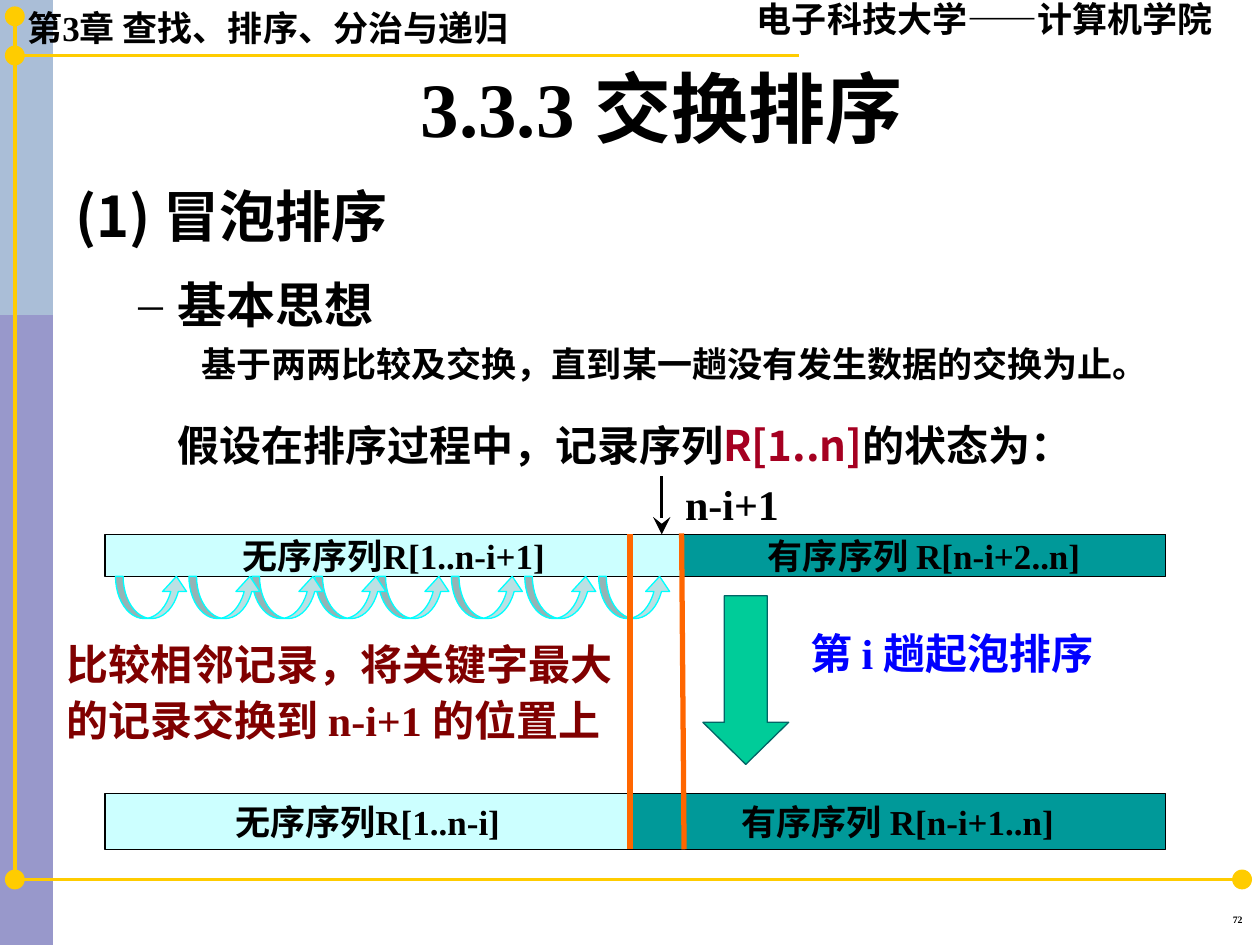
import pptx
import pptx.util
import pptx.dml.color
import pptx.enum.shapes
import pptx.enum.text
import pptx.oxml.ns
from lxml import etree

Cm, Pt = pptx.util.Cm, pptx.util.Pt
RGBColor = pptx.dml.color.RGBColor
SHAPE = pptx.enum.shapes.MSO_SHAPE
ALIGN = pptx.enum.text.PP_ALIGN
ANCHOR = pptx.enum.text.MSO_ANCHOR
qn = pptx.oxml.ns.qn

BLACK = RGBColor(0x00, 0x00, 0x00)
INDIGO = RGBColor(0x33, 0x33, 0x99)
ICE = RGBColor(0xBB, 0xE0, 0xE3)
GOLD = RGBColor(0xFF, 0xCC, 0x00)
CRIMSON = RGBColor(0xA5, 0x00, 0x21)
BLUE = RGBColor(0x00, 0x00, 0xFF)
MAROON = RGBColor(0x80, 0x00, 0x00)
PALE = RGBColor(0xCC, 0xFF, 0xFF)
TEAL = RGBColor(0x00, 0x99, 0x99)
GREEN = RGBColor(0x00, 0xCC, 0x99)
DARK_TEAL = RGBColor(0x00, 0x66, 0x66)
CYAN = RGBColor(0x00, 0xFF, 0xFF)
ORANGE = RGBColor(0xFF, 0x66, 0x00)

SERIF = "Times New Roman"
SANS_SC = "Noto Sans CJK SC"
SANS_JP = "Noto Sans CJK JP"

SIDE_BANDS = [(19.05, INDIGO, 50), (6.35, ICE, 53)]
FRAME_LINES = [
    (0.3, 17.73, 25.1, 17.73),
    (0.3, 1.12, 16.1, 1.12),
    (0.3, 17.73, 0.3, 0.33),
]
DOT_SIZE = 0.4
DOT_CENTRES = [(0.3, 17.73), (25.04, 17.73), (0.3, 1.12), (0.3, 0.33)]

LABELS = [
    ((0.3, 0, 10.8, 1.12), [("第3章 查找、排序、分治与递归", BLACK)], 20, SERIF, {}),
    ((15.01, -0.18, 10.49, 1.12), [("电子科技大学——计算机学院", BLACK)], 20, SERIF, {}),
    ((1.27, 0.76, 24.13, 2.77), [("3.3.3 交换排序", BLACK)], 44, SERIF,
     {"align": ALIGN.CENTER, "anchor": ANCHOR.MIDDLE}),
    ((18.59, 18.34, 6.71, 0.56), [("72", BLACK)], 5.6, SERIF,
     {"align": ALIGN.RIGHT, "spacing": 0.8}),
    ((1.63, 8.13, 23.77, 1.47),
     [("假设在排序过程中，记录序列", BLACK), ("R[1..n]", CRIMSON), ("的状态为：", BLACK)],
     24, SANS_JP, {"spacing": 1.2, "indent": 1.69}),
    ((16.08, 12.37, 9.32, 1.42), [("第 i 趟起泡排序", BLUE)], 24, SERIF, {"spacing": 1.15}),
    ((13.56, 9.53, 2.8, 1.27), [("n-i+1", BLACK)], 24, SERIF, {}),
    ((1.09, 12.65, 11.68, 2.49),
     [("比较相邻记录，将关键字最大的记录交换到 n-i+1 的位置上", MAROON)],
     24, SERIF, {"spacing": 1.1}),
]

OUTLINE = [
    ("(1) 冒泡排序", 32, SANS_SC, 0.95, -0.95, 0, 8, None),
    ("基本思想", 28, SANS_JP, 2.06, -0.79, 7, 0, "–"),
    ("基于两两比较及交换，直到某一趟没有发生数据的交换为止。", 20, SANS_JP, 3.18, -0.64, 5, 0, None),
]

ROW_LEFT, ROW_RIGHT = 2.12, 23.5
SEQUENCE_ROWS = [
    (10.77, 0.86, 13.76, "无序序列R[1..n-i+1]", "有序序列 R[n-i+2..n]"),
    (16, 1.12, 12.7, "无序序列R[1..n-i]", "有序序列 R[n-i+1..n]"),
]
SWAP_LEFTS = [2.33, 3.81, 5.08, 6.35, 7.62, 9.1, 10.58, 12.07]
DIVIDERS = [(13.74, 10.75, 13.79, 17.12), (12.7, 10.77, 12.7, 17.12)]

deck = pptx.Presentation()
deck.slide_width, deck.slide_height = Cm(25.4), Cm(19.05)
page = deck.slides.add_slide(deck.slide_layouts[6])


def add_block(kind, place, fill, line=None, alpha=None):
    block = page.shapes.add_shape(kind, *map(Cm, place))
    block.shadow.inherit = False
    block.fill.solid()
    block.fill.fore_color.rgb = fill
    if alpha:
        colour = block._element.spPr.find(".//" + qn("a:srgbClr"))
        etree.SubElement(colour, qn("a:alpha"), val=str(alpha * 1000))
    if line is None:
        block.line.fill.background()
    else:
        block.line.color.rgb = line
        block.line.width = Pt(0.75)
    return block


def add_line(ends, colour, width, head=None):
    line = page.shapes.add_connector(pptx.enum.shapes.MSO_CONNECTOR.STRAIGHT, *map(Cm, ends))
    line.line.color.rgb = colour
    line.line.width = Pt(width)
    properties = line._element.spPr
    if head:
        etree.SubElement(properties.find(qn("a:ln")), qn("a:tailEnd"), type=head, w="lg", len="lg")
    etree.SubElement(properties, qn("a:effectLst"))


def add_span(para, text, size, face, colour):
    span = para.add_run()
    span.text = text
    span.font.size = Pt(size)
    span.font.bold = True
    span.font.color.rgb = colour
    span.font.name = face
    east = SANS_SC if face == SERIF else face
    etree.SubElement(span._r.get_or_add_rPr(), qn("a:ea"), typeface=east)


def set_indent(para, margin, indent):
    properties = para._p.get_or_add_pPr()
    properties.set("marL", str(Cm(margin)))
    properties.set("indent", str(Cm(indent)))
    return properties


def add_label(place, spans, size, face, options):
    box = page.shapes.add_textbox(*map(Cm, place))
    frame = box.text_frame
    frame.word_wrap = True
    frame.vertical_anchor = options.get("anchor", ANCHOR.TOP)
    para = frame.paragraphs[0]
    para.alignment = options.get("align", ALIGN.LEFT)
    para.line_spacing = options.get("spacing", 1.0)
    if "indent" in options:
        set_indent(para, 0, options["indent"])
    for text, colour in spans:
        add_span(para, text, size, face, colour)


def add_outline():
    frame = page.shapes.add_textbox(Cm(1.27), Cm(3.53), Cm(22.86), Cm(4.6)).text_frame
    frame.word_wrap = True
    for level, (text, size, face, margin, indent, before, after, bullet) in enumerate(OUTLINE):
        para = frame.add_paragraph() if level else frame.paragraphs[0]
        para.level = level
        properties = set_indent(para, margin, indent)
        if before:
            para.space_before = Pt(before)
        para.space_after = Pt(after)
        if bullet:
            etree.SubElement(properties, qn("a:buFont"), typeface=SERIF)
            etree.SubElement(properties, qn("a:buChar"), char=bullet)
        else:
            etree.SubElement(properties, qn("a:buNone"))
        add_span(para, text, size, face, BLACK)


def add_sequence(left, right, top, height, fill, text):
    block = add_block(SHAPE.RECTANGLE, (left, top, right - left, height), fill, BLACK)
    frame = block.text_frame
    frame.word_wrap = False
    frame.vertical_anchor = ANCHOR.MIDDLE
    para = frame.paragraphs[0]
    para.alignment = ALIGN.CENTER
    add_span(para, text, 20, SERIF, BLACK)


for height, colour, alpha in SIDE_BANDS:
    add_block(SHAPE.RECTANGLE, (0, 0, 1.07, height), colour, alpha=alpha)
for ends in FRAME_LINES:
    add_line(ends, GOLD, 2)
for x, y in DOT_CENTRES:
    add_block(SHAPE.OVAL, (x - DOT_SIZE / 2, y - DOT_SIZE / 2, DOT_SIZE, DOT_SIZE), GOLD)

for label in LABELS:
    add_label(*label)
add_outline()

for top, height, split, unsorted_text, sorted_text in SEQUENCE_ROWS:
    add_sequence(ROW_LEFT, split, top, height, PALE, unsorted_text)
    add_sequence(split, ROW_RIGHT, top, height, TEAL, sorted_text)
add_line((13.34, 9.6, 13.34, 10.77), BLACK, 1.5, "stealth")

pass_arrow = add_block(SHAPE.DOWN_ARROW, (14.17, 12.01, 1.73, 3.4), GREEN, DARK_TEAL)
pass_arrow.adjustments[1] = 0.49
for left in reversed(SWAP_LEFTS):
    swap = add_block(SHAPE.CURVED_UP_ARROW, (left, 11.62, 1.47, 0.85), ICE, CYAN)
    for position, value in enumerate((0.18, 0.57, 0.36)):
        swap.adjustments[position] = value
for ends in DIVIDERS:
    add_line(ends, ORANGE, 3)

deck.save("out.pptx")
